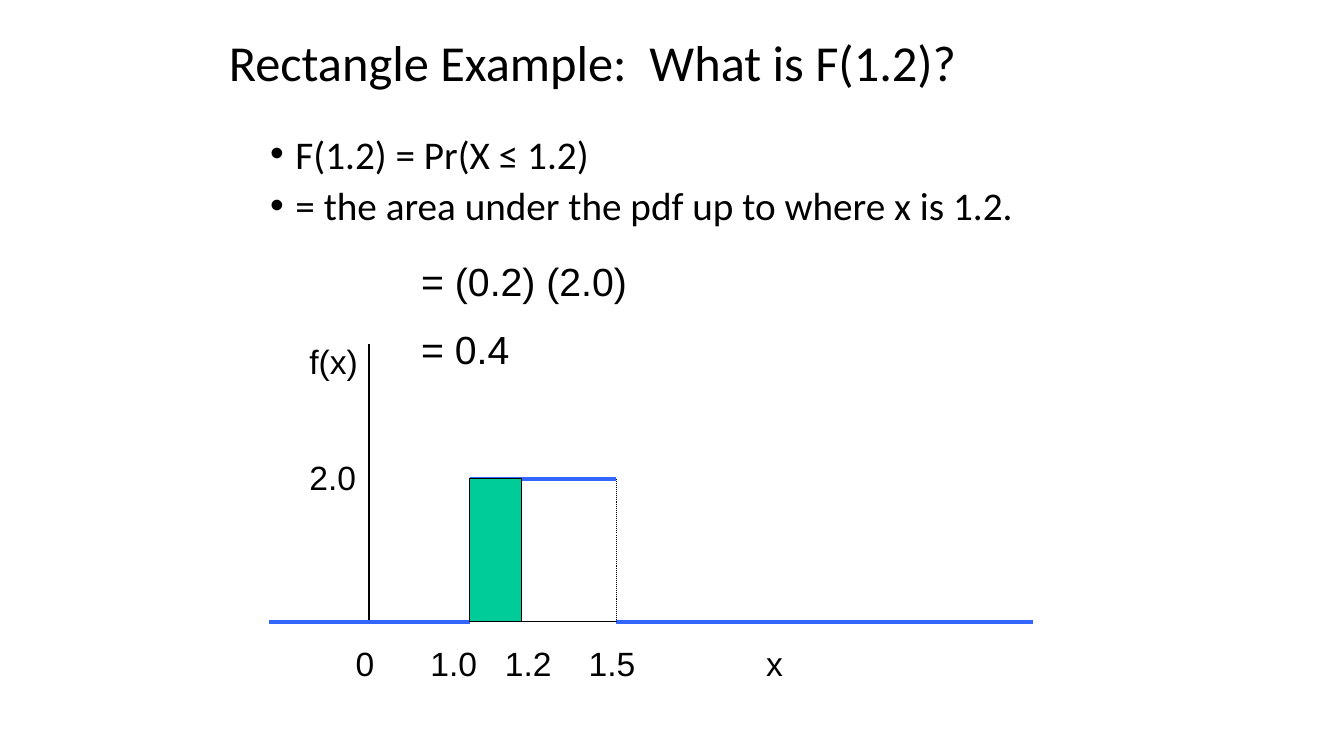
from lxml.etree import SubElement
from pptx import Presentation
from pptx.dml.color import RGBColor
from pptx.enum.dml import MSO_LINE
from pptx.enum.shapes import MSO_CONNECTOR, MSO_SHAPE
from pptx.enum.text import MSO_ANCHOR, MSO_AUTO_SIZE, PP_ALIGN
from pptx.oxml.ns import qn
from pptx.util import Inches, Pt

COLORS = {name: RGBColor.from_string(value) for name, value in
          {"black": "000000", "density": "3366FF", "area": "00CC99"}.items()}

# Marks of the plot, in inches
LEFT, ZERO, START, CUT, END, AXIS_END, RIGHT = 2.67, 3.66, 4.66, 5.17, 6.11, 7.49, 10.25
AXIS_TOP, DENSITY_TOP, BASE = 3.41, 4.75, 6.17


def fill_text(shape, box, lines, size, font_name, anchor=MSO_ANCHOR.TOP, **paragraph_format):
    """Place a text shape; space_before applies from the second line on."""
    shape.left, shape.top, shape.width, shape.height = map(Inches, box)
    frame = shape.text_frame
    frame.word_wrap = True
    frame.auto_size = MSO_AUTO_SIZE.NONE
    frame.vertical_anchor = anchor
    frame.text = "\n".join(lines)
    for index, paragraph in enumerate(frame.paragraphs):
        paragraph.alignment = PP_ALIGN.LEFT
        for name, value in paragraph_format.items():
            setattr(paragraph, name, value)
        if index == 0:
            paragraph.space_before = Pt(0)
        for run in paragraph.runs:
            for name, value in {"size": Pt(size), "name": font_name}.items():
                setattr(run.font, name, value)
            run.font.color.rgb = COLORS["black"]
    return frame.paragraphs


def add_line(x1, y1, x2, y2, color="black", width=0.75, dash=None):
    line = slide.shapes.add_connector(MSO_CONNECTOR.STRAIGHT, *map(Inches, (x1, y1, x2, y2)))
    line.line.color.rgb = COLORS[color]
    line.line.width = Pt(width)
    if dash:
        line.line.dash_style = dash
    SubElement(line._element.spPr, qn("a:effectLst"))


presentation = Presentation()
presentation.slide_width, presentation.slide_height = Inches(13.33), Inches(7.5)
slide = presentation.slides.add_slide(presentation.slide_layouts[1])

# Title and definition
title, body = slide.placeholders
fill_text(title, (2.17, 0.3, 9, 0.7), ["Rectangle Example:  What is F(1.2)?"],
          36, "Calibri", anchor=MSO_ANCHOR.MIDDLE, line_spacing=0.9)
definition = ["F(1.2) = Pr(X ≤ 1.2)", "= the area under the pdf up to where x is 1.2."]
for paragraph in fill_text(body, (2.58, 1.33, 8.58, 1), definition, 28, "Calibri",
                           line_spacing=0.8, space_before=Pt(10)):
    properties = paragraph._p.get_or_add_pPr()
    properties.set("marL", str(Inches(0.25)))
    properties.set("indent", str(-Inches(0.25)))
    SubElement(properties, qn("a:buFont"), typeface="Arial")
    SubElement(properties, qn("a:buChar"), char="•")

# Axes and their labels
add_line(ZERO, AXIS_TOP, ZERO, BASE)
add_line(ZERO, BASE, AXIS_END, BASE)
x_labels = fill_text(slide.shapes.add_textbox(0, 0, 0, 0), (3.43, 6.33, 5.52, 0.5),
                     ["0\t1.0\t1.2\t1.5\tx"], 24, "Arial")
tabs = SubElement(x_labels[0]._p.get_or_add_pPr(), qn("a:tabLst"))
for position in (0.74, 1.48, 2.31, 4.07):
    SubElement(tabs, qn("a:tab"), pos=str(Inches(position)), algn="l")
fill_text(slide.shapes.add_textbox(0, 0, 0, 0), (2.97, 3.33, 0.69, 1.72),
          ["f(x)", "2.0"], 24, "Arial", space_before=Pt(54))

# Density function
for x1, x2, y in ((LEFT, START, BASE), (END, RIGHT, BASE), (START, END, DENSITY_TOP)):
    add_line(x1, y, x2, y, "density", 3)
for x in (START, END):
    add_line(x, DENSITY_TOP, x, BASE, dash=MSO_LINE.ROUND_DOT)
add_line(CUT, DENSITY_TOP, CUT, BASE)

# Area up to 1.2
area = slide.shapes.add_shape(MSO_SHAPE.RECTANGLE, *map(
    Inches, (START, DENSITY_TOP, CUT - START, BASE - DENSITY_TOP)))
area.shadow.inherit = False
area.fill.solid()
area.fill.fore_color.rgb = COLORS["area"]
area.line.color.rgb = COLORS["black"]
area.line.width = Pt(0.75)

fill_text(slide.shapes.add_textbox(0, 0, 0, 0), (4.08, 2.5, 6.33, 1.27),
          ["= (0.2) (2.0)", "= 0.4"], 28, "Arial", space_before=Pt(15))

presentation.save("out.pptx")
